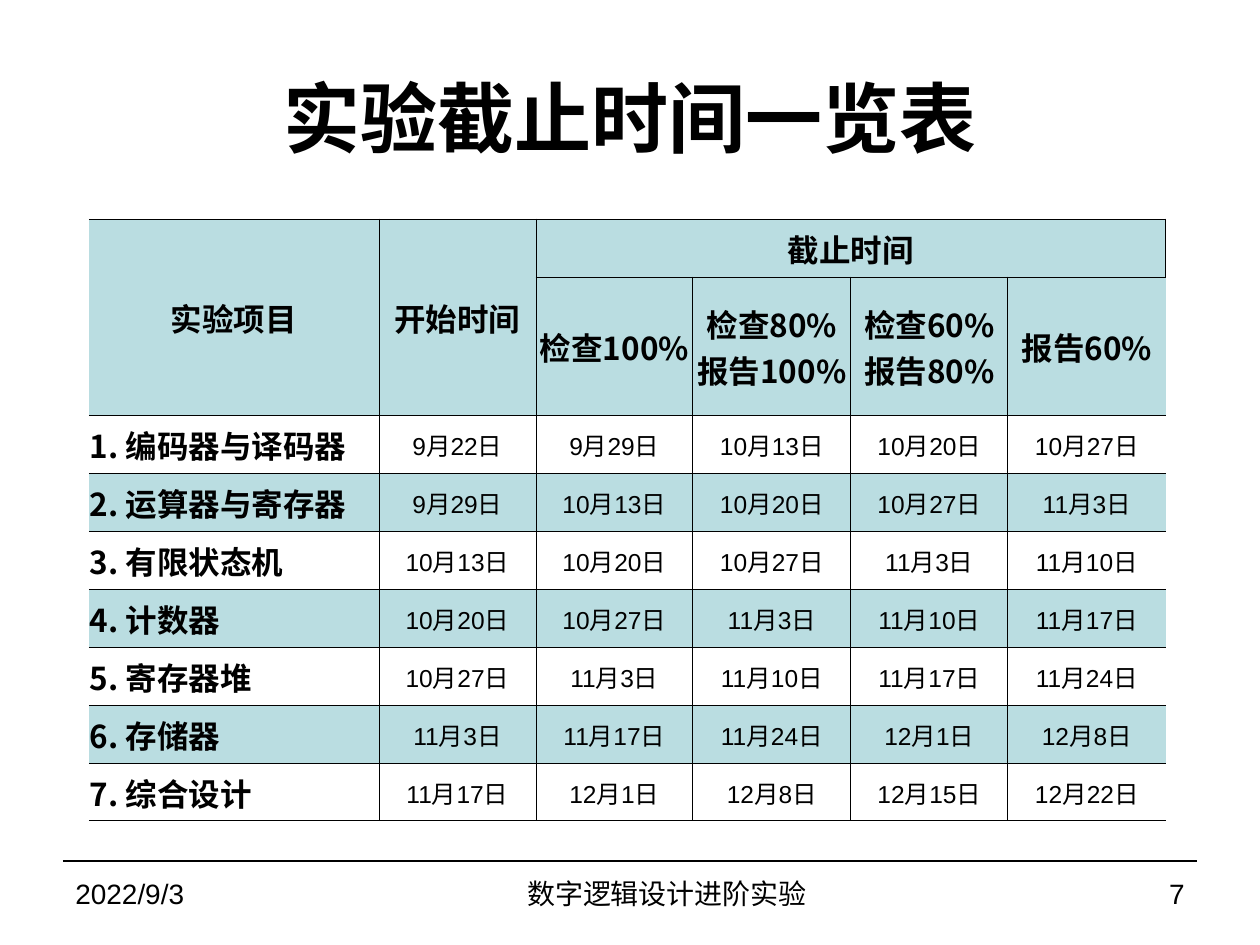
from lxml.etree import SubElement
from pptx import Presentation
from pptx.dml.color import RGBColor
from pptx.enum.shapes import MSO_CONNECTOR
from pptx.enum.text import MSO_ANCHOR, PP_ALIGN
from pptx.oxml import parse_xml
from pptx.oxml.ns import nsdecls, qn
from pptx.util import Pt

PIXEL = 914400 // 126
COLORS = {"ink": "000000", "band": "BADDE1"}
ARIAL, NOTO = "Arial", "Noto Sans CJK SC"


def write(frame, text, size, font, bold, align):
    paragraph = frame.paragraphs[0]
    paragraph.alignment = align
    for index, line in enumerate(text.split("\n")):
        if index:
            paragraph.add_line_break()
        run = paragraph.add_run()
        run.text = line
        run.font.size = Pt(size)
        run.font.bold = bold
        run.font.name = font
        run.font.color.rgb = RGBColor.from_string(COLORS["ink"])
        SubElement(run.font._element, qn("a:ea"), typeface=NOTO)


def set_borders(cell, visible):
    properties = cell._tc.get_or_add_tcPr()
    for index, side in enumerate("LRTB"):
        paint = "<a:noFill/>"
        if side in visible:
            paint = f'<a:solidFill><a:srgbClr val="{COLORS["ink"]}"/></a:solidFill>'
        border = parse_xml(f'<a:ln{side} {nsdecls("a")} w="6350">{paint}</a:ln{side}>')
        properties.insert(index, border)


presentation = Presentation()
presentation.slide_width = 1260 * PIXEL
presentation.slide_height = 945 * PIXEL
slide = presentation.slides.add_slide(presentation.slide_layouts[6])

footer_line = slide.shapes.add_connector(
    MSO_CONNECTOR.STRAIGHT, 63 * PIXEL, 861 * PIXEL, 1197 * PIXEL, 861 * PIXEL)
footer_line.line.color.rgb = RGBColor.from_string(COLORS["ink"])
footer_line.line.width = Pt(0.75)
SubElement(footer_line._element.spPr, qn("a:effectLst"))

texts = [
    ("实验截止时间一览表", 63, 38, 1134, 158, 44, True, PP_ALIGN.CENTER),
    ("2022/9/3", 63, 860, 294, 66, 16, False, PP_ALIGN.LEFT),
    ("数字逻辑设计进阶实验", 357, 860, 620, 66, 16, False, PP_ALIGN.CENTER),
    ("7", 977, 860, 220, 66, 16, False, PP_ALIGN.RIGHT),
]
for text, left, top, width, height, size, bold, align in texts:
    box = slide.shapes.add_textbox(left * PIXEL, top * PIXEL, width * PIXEL, height * PIXEL)
    box.text_frame.word_wrap = True
    box.text_frame.vertical_anchor = MSO_ANCHOR.MIDDLE
    write(box.text_frame, text, size, ARIAL, bold, align)

rows = [
    ["实验项目", "开始时间", "截止时间", "", "", ""],
    ["", "", "检查100%", "检查80%\n报告100%", "检查60%\n报告80%", "报告60%"],
]
schedule = [
    ("编码器与译码器", "9/22 9/29 10/13 10/20 10/27"),
    ("运算器与寄存器", "9/29 10/13 10/20 10/27 11/3"),
    ("有限状态机", "10/13 10/20 10/27 11/3 11/10"),
    ("计数器", "10/20 10/27 11/3 11/10 11/17"),
    ("寄存器堆", "10/27 11/3 11/10 11/17 11/24"),
    ("存储器", "11/3 11/17 11/24 12/1 12/8"),
    ("综合设计", "11/17 12/1 12/8 12/15 12/22"),
]
for number, (experiment, dates) in enumerate(schedule, 1):
    days = [date.replace("/", "月") + "日" for date in dates.split()]
    rows.append([f"{number}. {experiment}", *days])

column_widths = [290, 157, 157, 158, 157, 158]
row_heights = [58, 138] + [58] * 7
table = slide.shapes.add_table(
    len(rows), len(column_widths), 89 * PIXEL, 219 * PIXEL,
    sum(column_widths) * PIXEL, sum(row_heights) * PIXEL).table
table.first_row = False
table.horz_banding = False
for column, width in zip(table.columns, column_widths):
    column.width = width * PIXEL
for row, height in zip(table.rows, row_heights):
    row.height = height * PIXEL

last_column = len(column_widths) - 1
for row_index, values in enumerate(rows):
    for column_index, text in enumerate(values):
        cell = table.cell(row_index, column_index)
        cell.margin_left = cell.margin_right = cell.margin_top = PIXEL
        cell.margin_bottom = 0
        cell.vertical_anchor = MSO_ANCHOR.MIDDLE
        is_header = row_index < 2
        if is_header or row_index % 2:
            cell.fill.solid()
            cell.fill.fore_color.rgb = RGBColor.from_string(COLORS["band"])
        else:
            cell.fill.background()
        visible = "TB"
        if column_index > 0:
            visible += "L"
        if column_index < last_column or row_index == 0:
            visible += "R"
        set_borders(cell, visible)
        is_label = is_header or column_index == 0
        align = PP_ALIGN.CENTER if is_header or column_index else PP_ALIGN.LEFT
        if text:
            write(cell.text_frame, text, 18 if is_label else 14,
                  NOTO if is_label else ARIAL, is_label, align)

for column_index in (0, 1):
    table.cell(0, column_index).merge(table.cell(1, column_index))
table.cell(0, 2).merge(table.cell(0, last_column))

presentation.save("out.pptx")
